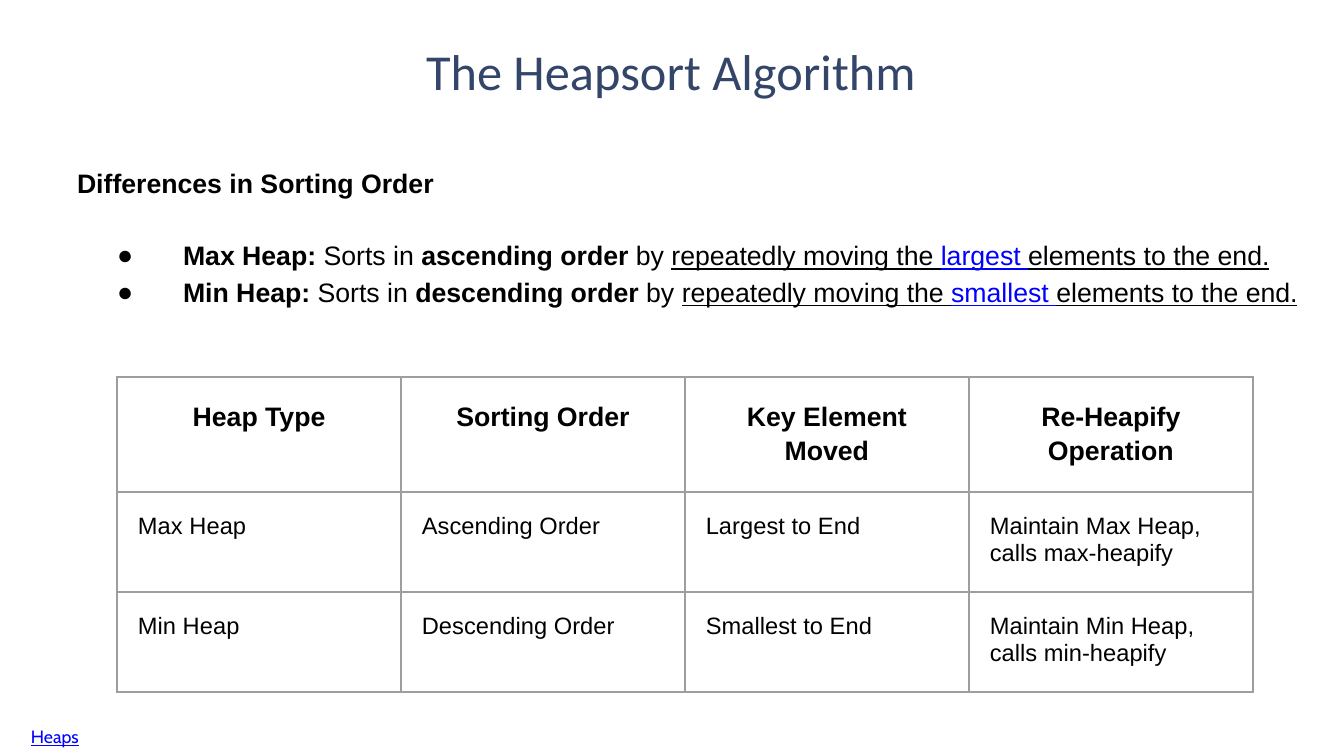
"""Build the slide that compares sorting with max heaps and min heaps."""
from lxml import etree
from pptx import Presentation
from pptx.dml.color import RGBColor
from pptx.enum.text import MSO_ANCHOR, MSO_AUTO_SIZE, PP_ALIGN
from pptx.oxml.ns import qn
from pptx.util import Pt

LEFT, CENTER = PP_ALIGN.LEFT, PP_ALIGN.CENTER
TOP, NO_RESIZE = MSO_ANCHOR.TOP, MSO_AUTO_SIZE.NONE

COLORS = {"title": "334669", "text": "000000", "accent": "0000FF", "border": "9E9E9E"}
TITLE = "The Heapsort Algorithm"
HEADING = "Differences in Sorting Order"
HEAPS = [
    ("Max Heap:", "ascending order", "largest "),
    ("Min Heap:", "descending order", "smallest "),
]
FOOTNOTE = "Heaps"
TABLE = [
    ("Heap Type", "Sorting Order", "Key Element Moved", "Re-Heapify Operation"),
    ("Max Heap", "Ascending Order", "Largest to End", "Maintain Max Heap, calls max-heapify"),
    ("Min Heap", "Descending Order", "Smallest to End", "Maintain Min Heap, calls min-heapify"),
]

PX = 914400 // 213
SLIDE_SIZE = (1344, 756)
TITLE_BOX = (426, 38, 562, 64)
BODY_BOX = (77, 160, 1229, 145)
FOOTNOTE_BOX = (31, 724, 53, 26)
TABLE_LEFT, TABLE_TOP, COLUMN_WIDTH = 117, 377, 284
ROW_HEIGHTS = (115, 100, 100)
CELL_MARGIN = 21
BULLET_INDENT, BULLET_HANG = 106, 66


def place(box, bounds):
    """Position a text shape and give its frame tight margins."""
    box.left, box.top, box.width, box.height = (value * PX for value in bounds)
    frame = box.text_frame
    frame.word_wrap = True
    frame.auto_size = NO_RESIZE
    frame.vertical_anchor = TOP
    frame.margin_left = frame.margin_right = frame.margin_bottom = 0
    frame.margin_top = 2 * PX
    return frame


def add_text(para, text, size=9, font="Arial", color="text", bold=False, underline=False):
    """Append formatted text to a paragraph."""
    span = para.add_run()
    span.text = text
    span.font.size = Pt(size)
    span.font.name = font
    span.font.bold = bold
    span.font.underline = underline
    span.font.color.rgb = RGBColor.from_string(COLORS[color])


def set_layout(para, align=LEFT, spacing=1.0, before=0, bullet=None):
    """Set alignment, spacing and bullet of a paragraph."""
    properties = para._p.get_or_add_pPr()
    properties.set("marL", str(BULLET_INDENT * PX if bullet else 0))
    properties.set("indent", str(-BULLET_HANG * PX if bullet else 0))
    if bullet:
        tint = etree.SubElement(properties, qn("a:buClr"))
        etree.SubElement(tint, qn("a:srgbClr"), val=COLORS["text"])
        etree.SubElement(properties, qn("a:buFont"), typeface="Arial")
        etree.SubElement(properties, qn("a:buChar"), char=bullet)
    else:
        etree.SubElement(properties, qn("a:buNone"))
    para.alignment = align
    para.line_spacing = spacing
    para.space_before = Pt(before)
    para.space_after = Pt(0)


def add_borders(cell):
    """Draw the four sides of a table cell."""
    properties = cell._tc.get_or_add_tcPr()
    for index, side in enumerate(("a:lnL", "a:lnR", "a:lnT", "a:lnB")):
        line = etree.Element(qn(side), w=str(Pt(0.75)))
        fill = etree.SubElement(line, qn("a:solidFill"))
        etree.SubElement(fill, qn("a:srgbClr"), val=COLORS["border"])
        properties.insert(index, line)


def fill_body(frame):
    """Write the heading and one bullet for each heap."""
    heading = frame.paragraphs[0]
    set_layout(heading, spacing=1.15)
    add_text(heading, HEADING, bold=True)
    for index, (name, order, element) in enumerate(HEAPS):
        para = frame.add_paragraph()
        set_layout(para, spacing=1.15, before=0 if index else 12, bullet="●")
        add_text(para, name, bold=True)
        add_text(para, " Sorts in ")
        add_text(para, order, bold=True)
        add_text(para, " by ")
        add_text(para, "repeatedly moving the ", underline=True)
        add_text(para, element, color="accent", underline=True)
        add_text(para, "elements to the end.", underline=True)


def add_comparison(page):
    """Add the comparison table."""
    columns = len(TABLE[0])
    table = page.shapes.add_table(
        len(TABLE), columns, TABLE_LEFT * PX, TABLE_TOP * PX,
        columns * COLUMN_WIDTH * PX, sum(ROW_HEIGHTS) * PX).table
    table.first_row = table.horz_banding = False
    for column in table.columns:
        column.width = COLUMN_WIDTH * PX
    for row_index, texts in enumerate(TABLE):
        header = row_index == 0
        table.rows[row_index].height = ROW_HEIGHTS[row_index] * PX
        for column_index, text in enumerate(texts):
            cell = table.cell(row_index, column_index)
            cell.fill.background()
            cell.margin_left = cell.margin_right = CELL_MARGIN * PX
            cell.margin_top = cell.margin_bottom = CELL_MARGIN * PX
            add_borders(cell)
            para = cell.text_frame.paragraphs[0]
            set_layout(para, align=CENTER if header else LEFT, spacing=1.15 if header else 1.0)
            add_text(para, text, size=9 if header else 8, bold=header)


def main():
    """Assemble and save the deck."""
    deck = Presentation()
    deck.slide_width, deck.slide_height = (value * PX for value in SLIDE_SIZE)
    page = deck.slides.add_slide(deck.slide_layouts[1])

    title = place(page.shapes.title, TITLE_BOX).paragraphs[0]
    set_layout(title)
    add_text(title, TITLE, size=17, font="Calibri", color="title")

    fill_body(place(page.placeholders[1], BODY_BOX))
    add_comparison(page)

    footnote_box = page.shapes.add_textbox(0, 0, 0, 0)
    footnote = place(footnote_box, FOOTNOTE_BOX).paragraphs[0]
    set_layout(footnote)
    add_text(footnote, FOOTNOTE, size=6, font="Cabin", color="accent", underline=True)
    deck.save("out.pptx")


if __name__ == "__main__":
    main()
